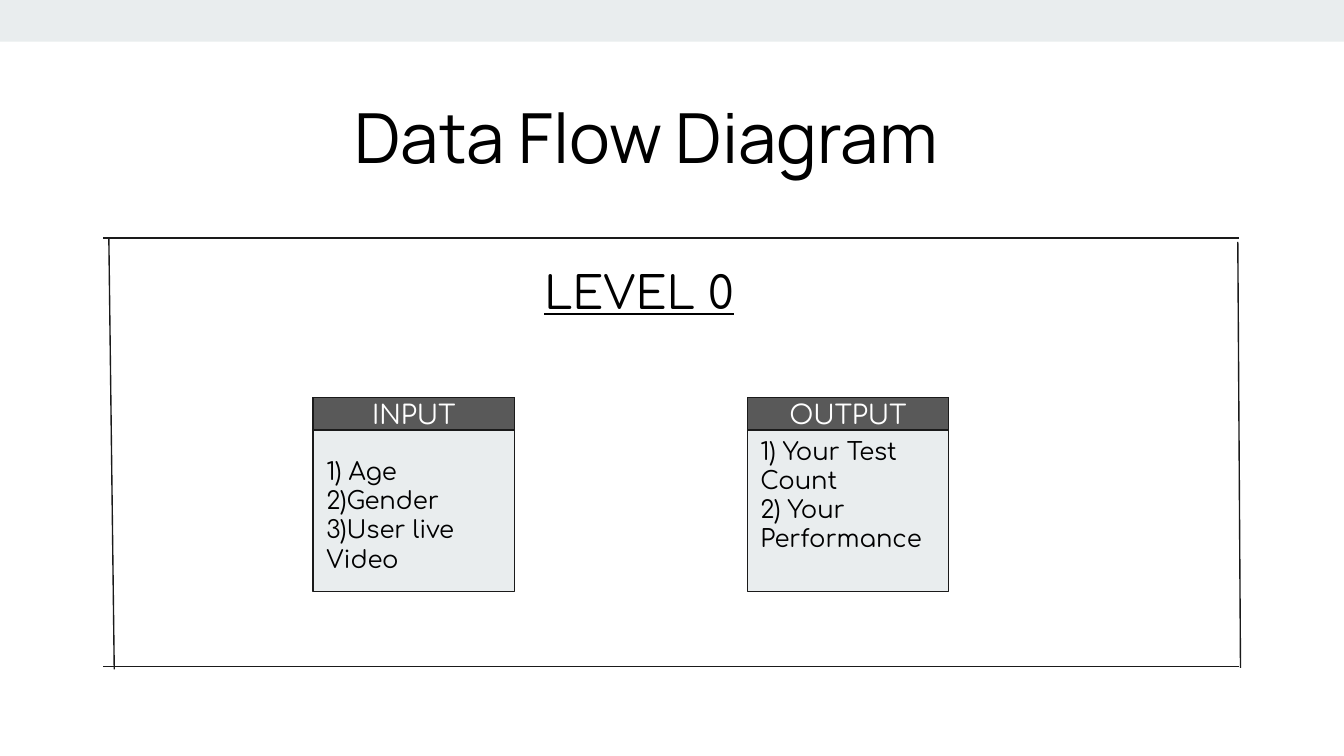
import pptx
import pptx.dml.color
import pptx.enum.shapes
import pptx.enum.text
import pptx.oxml.ns
import pptx.util
from lxml import etree

COLORS = {"ink": "000000", "line": "1A1A1A", "pale": "E9EDEE",
          "header": "595959", "white": "FFFFFF"}
RGB = {name: pptx.dml.color.RGBColor.from_string(c) for name, c in COLORS.items()}
RECT = pptx.enum.shapes.MSO_SHAPE.RECTANGLE
ALIGN = pptx.enum.text.PP_ALIGN
MIDDLE = pptx.enum.text.MSO_ANCHOR.MIDDLE

prs = pptx.Presentation()
prs.slide_width = pptx.util.Inches(10)
prs.slide_height = pptx.util.Inches(5.625)
s = prs.slides.add_slide(prs.slide_layouts[6])

# Grid of 100 columns by 56.25 rows, square cells
CELL = prs.slide_width / 100


def grid(*cells):
    return [round(n * CELL) for n in cells]


def write(sp, lines, size, font, color, align=ALIGN.LEFT, insets=(1, 1, 1, 1)):
    tf = sp.text_frame
    tf.word_wrap = True
    tf.margin_left, tf.margin_top, tf.margin_right, tf.margin_bottom = grid(*insets)
    tf.text = "\n".join(lines)
    for p in tf.paragraphs:
        p.alignment = align
        p.font.size = pptx.util.Pt(size)
        p.font.name = font
        p.font.color.rgb = RGB[color]
    return tf


# Level heading
sp = s.shapes.add_textbox(*grid(39.5, 18.7, 20.2, 6.7))
tf = write(sp, ["LEVEL 0"], 24, "Comfortaa", "ink")
tf.paragraphs[0].font.underline = True

# Input and output cards: left column, title, lines, top inset
cards = [
    (23.3, "INPUT", ["1) Age", "2)Gender", "3)User live Video"], 4),
    (55.6, "OUTPUT", ["1) Your Test Count", "2) Your Performance"], 1),
]
for left, title, lines, top_inset in cards:
    parts = [
        (14.4, "pale", lines, 13, "ink", ALIGN.LEFT, (1, top_inset, 1, 1)),
        (2.4, "header", [title], 14, "white", ALIGN.CENTER, (1, 0, 1, 0)),
    ]
    for height, fill, text, size, color, align, insets in parts:
        sp = s.shapes.add_shape(RECT, *grid(left, 29.6, 15, height))
        sp.shadow.inherit = False
        sp.fill.solid()
        sp.fill.fore_color.rgb = RGB[fill]
        sp.line.color.rgb = RGB["line"]
        sp.line.width = pptx.util.Pt(0.75)
        tf = write(sp, text, size, "Comfortaa", color, align, insets)
        tf.vertical_anchor = MIDDLE

# Slide title
sp = s.shapes.add_textbox(*grid(5.4, 6, 94.6, 7.5))
tf = write(sp, ["Data Flow Diagram"], 37, "Manrope", "ink")
pPr = tf.paragraphs[0]._p.get_or_add_pPr()
for name, length in zip(("marL", "indent"), grid(15, 5)):
    pPr.set(name, str(length))

# Frame, drawn as four slightly uneven lines
for ends in [
    (7.7, 17.7, 92.2, 17.7),
    (7.7, 49.6, 92.2, 49.6),
    (8.1, 17.7, 8.5, 49.8),
    (92.1, 18, 92.3, 49.7),
]:
    sp = s.shapes.add_connector(pptx.enum.shapes.MSO_CONNECTOR.STRAIGHT, *grid(*ends))
    sp.line.color.rgb = RGB["line"]
    sp.line.width = pptx.util.Pt(0.75)
    etree.SubElement(sp._element.spPr, pptx.oxml.ns.qn("a:effectLst"))

# Top band
sp = s.shapes.add_shape(RECT, *grid(0, 0, 100, 3.1))
sp.shadow.inherit = False
sp.fill.solid()
sp.fill.fore_color.rgb = RGB["pale"]
sp.line.fill.background()

prs.save("out.pptx")
